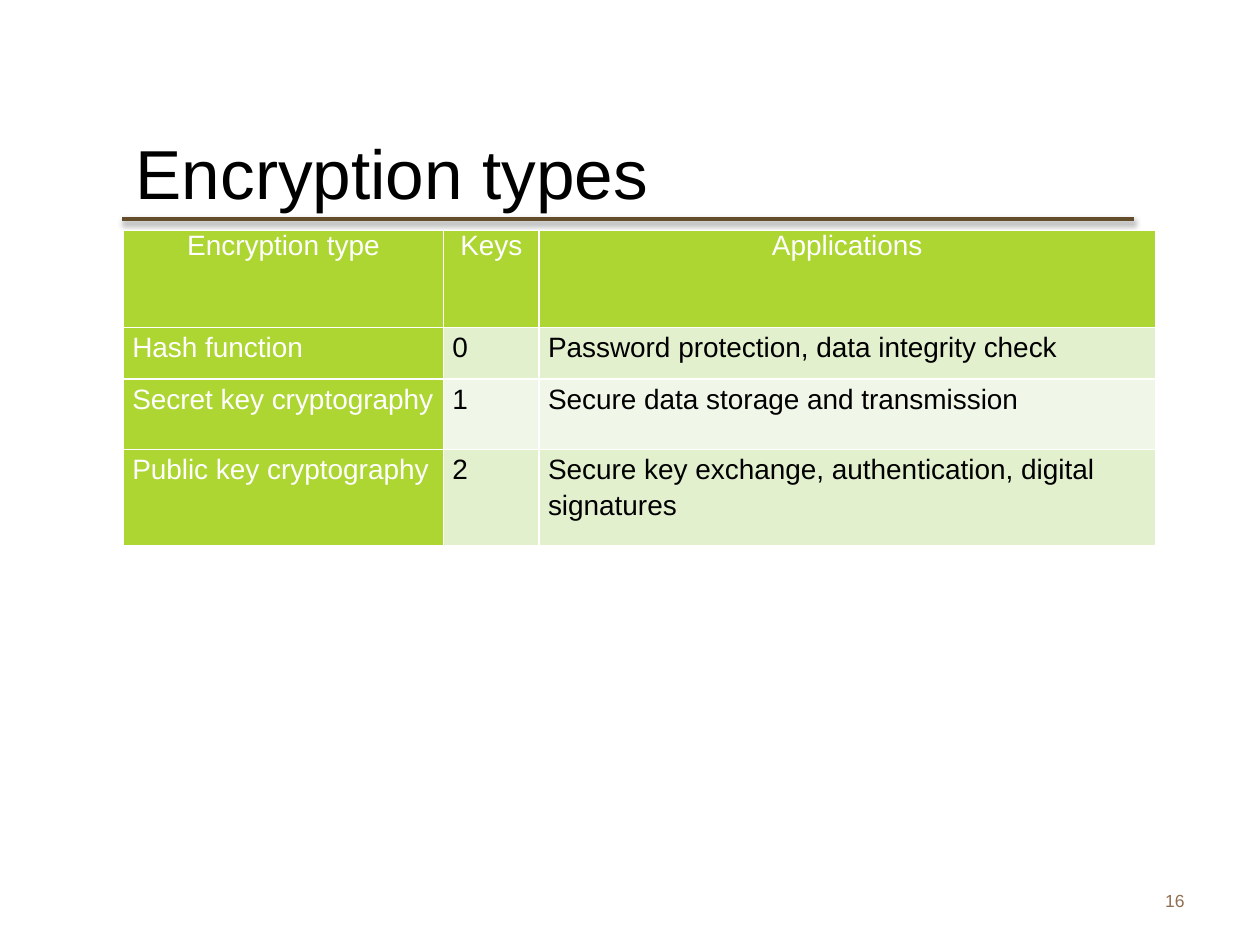
"""Build the slide that compares encryption types by keys and applications."""
import pptx
import pptx.dml.color
import pptx.enum.shapes
import pptx.enum.text
import pptx.oxml
import pptx.oxml.ns
import pptx.util

WIDTH, HEIGHT = 10, 7.5
TITLE = "Encryption types"
PAGE_NUMBER = "16"
ROWS = [
    ("Encryption type", "Keys", "Applications"),
    ("Hash function", "0", "Password protection, data integrity check"),
    ("Secret key cryptography", "1", "Secure data storage and transmission"),
    ("Public key cryptography", "2", "Secure key exchange, authentication, digital signatures"),
]
COLUMN_WIDTHS = [2.54, 0.76, 4.89]
ROW_HEIGHTS = [0.77, 0.41, 0.56, 0.76]
LEFT, TABLE_TOP, RULE_TOP = 0.98, 1.83, 1.74
GREEN, BANDS = "ADD632", ("F1F7E8", "E3F0CE")
WHITE, BLACK, BROWN, TAN = "FFFFFF", "000000", "634D2A", "8F6F52"
ALIGN = pptx.enum.text.PP_ALIGN
BODY_FORMAT = {
    "alignment": ALIGN.LEFT,
    "line_spacing": 1.15,
    "space_after": pptx.util.Pt(10),
}
HEADER_FORMAT = {"alignment": ALIGN.CENTER}
CELL_FORMAT = {
    "margin_left": pptx.util.Inches(0.07),
    "margin_right": pptx.util.Inches(0.07),
    "margin_top": 0,
    "margin_bottom": 0,
}
NAMESPACE = pptx.oxml.ns.nsdecls("a")
BORDER = (
    '<a:{side} {namespace} w="12700"><a:solidFill><a:srgbClr val="{colour}"/>'
    "</a:solidFill></a:{side}>"
)
SHADOW = (
    f'<a:effectLst {NAMESPACE}><a:outerShdw blurRad="39370" dist="20320" dir="5400000" '
    'rotWithShape="0"><a:srgbClr val="000000"><a:alpha val="38000"/></a:srgbClr>'
    "</a:outerShdw></a:effectLst>"
)


def colour(value):
    return pptx.dml.color.RGBColor.from_string(value)


def apply(target, values):
    for name, value in values.items():
        setattr(target, name, value)


def write(frame, text, size, ink, values):
    para = frame.paragraphs[0]
    apply(para, values)
    span = para.add_run()
    span.text = text
    apply(span.font, {"size": pptx.util.Pt(size), "name": "Arial"})
    span.font.color.rgb = colour(ink)


def add_text(page, area, text, size, ink, align):
    box = page.shapes.add_textbox(*map(pptx.util.Inches, area))
    apply(box.text_frame, {
        "word_wrap": True,
        "vertical_anchor": pptx.enum.text.MSO_ANCHOR.MIDDLE,
    })
    write(box.text_frame, text, size, ink, {"alignment": align})


def add_rule(page):
    ends = map(pptx.util.Inches, (0.97, RULE_TOP, 9, RULE_TOP))
    rule = page.shapes.add_connector(pptx.enum.shapes.MSO_CONNECTOR.STRAIGHT, *ends)
    rule.line.width = pptx.util.Pt(2)
    rule.line.color.rgb = colour(BROWN)
    rule._element.spPr.append(pptx.oxml.parse_xml(SHADOW))


def style_cell(cell, text, row, column):
    apply(cell, CELL_FORMAT)
    properties = cell._tc.get_or_add_tcPr()
    for side in ("lnL", "lnR", "lnT", "lnB"):
        border = BORDER.format(side=side, namespace=NAMESPACE, colour=WHITE)
        properties.append(pptx.oxml.parse_xml(border))
    heading = row == 0 or column == 0
    cell.fill.solid()
    cell.fill.fore_color.rgb = colour(GREEN if heading else BANDS[row % 2])
    values = BODY_FORMAT if row else HEADER_FORMAT
    write(cell.text_frame, text, 16, WHITE if heading else BLACK, values)


def add_types_table(page):
    area = (LEFT, TABLE_TOP, sum(COLUMN_WIDTHS), sum(ROW_HEIGHTS))
    table = page.shapes.add_table(
        len(ROWS), len(COLUMN_WIDTHS), *map(pptx.util.Inches, area)
    ).table
    for column, width in zip(table.columns, COLUMN_WIDTHS):
        column.width = pptx.util.Inches(width)
    for row, height in zip(table.rows, ROW_HEIGHTS):
        row.height = pptx.util.Inches(height)
    for row, texts in enumerate(ROWS):
        for column, text in enumerate(texts):
            style_cell(table.cell(row, column), text, row, column)


def main():
    deck = pptx.Presentation()
    deck.slide_width = pptx.util.Inches(WIDTH)
    deck.slide_height = pptx.util.Inches(HEIGHT)
    page = deck.slides.add_slide(deck.slide_layouts[6])
    add_rule(page)
    add_text(page, (7.17, 6.95, 2.33, 0.4), PAGE_NUMBER, 10, TAN, ALIGN.RIGHT)
    add_text(page, (LEFT, 0.97, 5.77, 0.78), TITLE, 39.6, BLACK, ALIGN.LEFT)
    add_types_table(page)
    deck.save("out.pptx")


if __name__ == "__main__":
    main()
